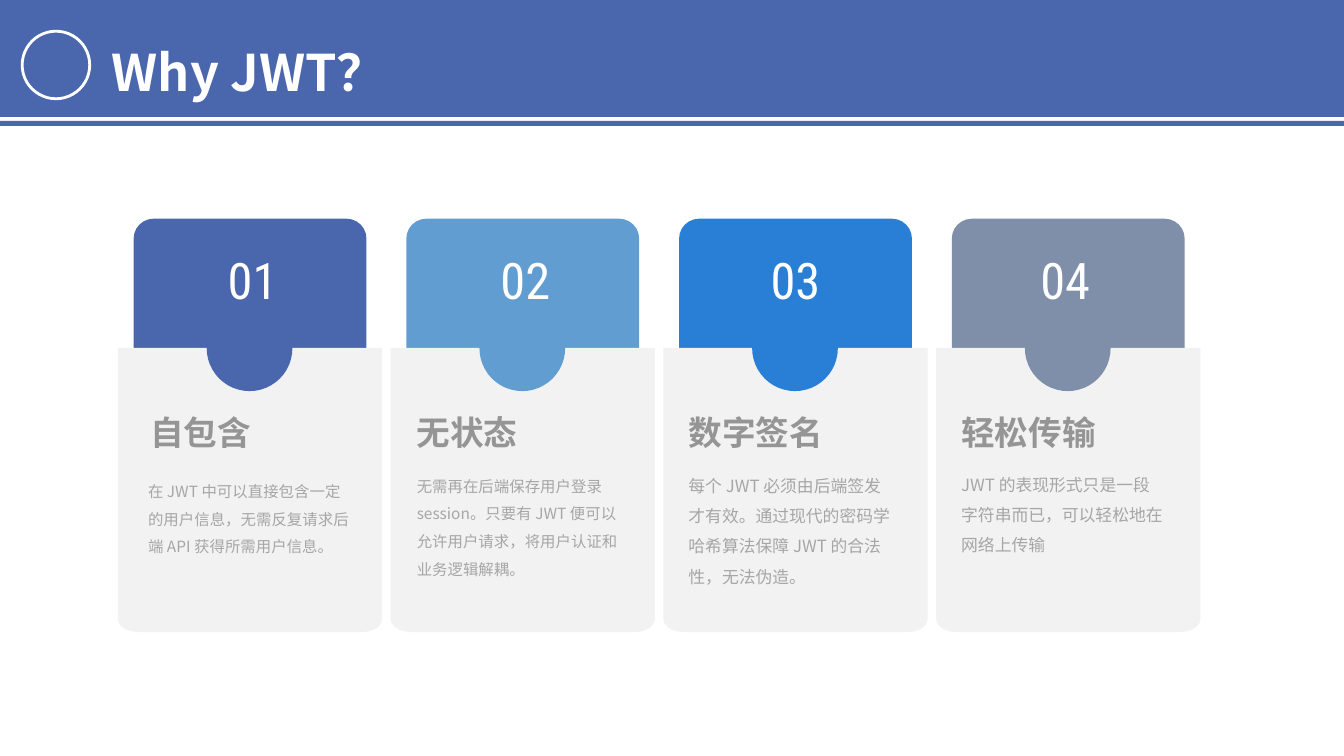
import math
from dataclasses import dataclass

from pptx import Presentation
from pptx import util as u
from pptx.dml.color import RGBColor
from pptx.enum import shapes, text
from pptx.oxml.ns import qn


@dataclass(frozen=True)
class Theme:
    banner: str = "4A66AC"
    panel: str = "F2F2F2"
    white: str = "FFFFFF"
    heading: str = "959595"
    body: str = "A6A6A6"
    cjk: str = "Noto Sans CJK SC"
    digits: str = "Roboto Condensed"
    title_size: int = 36
    heading_size: int = 24
    line_spacing: float = 1.5


@dataclass(frozen=True)
class Box:
    left: float
    top: float
    width: float
    height: float

    def inner(self, left, top, width, height):
        """A box whose left and top are measured from this one's corner."""
        return Box(self.left + left, self.top + top, width, height)

    def lengths(self):
        return [u.Inches(n) for n in (self.left, self.top, self.width, self.height)]


@dataclass(frozen=True)
class Card:
    number: str
    color: str
    heading: str
    body: str
    body_size: int
    number_left: float
    number_width: float
    heading_left: float
    body_left: float
    body_top: float


THEME = Theme()
KIND = shapes.MSO_SHAPE
SLIDE = Box(0, 0, 13.33, 7.5)
CARD_ROW = Box(1.17, 2.17, 2.62, 4.1)
CARD_STEP = 2.705

CARDS = [
    Card("01", "4A66AC", "自包含",
         "在 JWT 中可以直接包含一定的用户信息，无需反复请求后端 API 获得所需用户信息。",
         11, 0.74, 1.19, 0.22, 0.2, 2.47),
    Card("02", "629DD1", "无状态",
         "无需再在后端保存用户登录 session。只要有 JWT 便可以允许用户请求，将用户认证和业务逻辑解耦。",
         11, 0.7, 1.27, 0.16, 0.16, 2.42),
    Card("03", "297FD5", "数字签名",
         "每个 JWT 必须由后端签发才有效。通过现代的密码学哈希算法保障 JWT 的合法性，无法伪造。",
         12, 0.62, 1.38, 0.15, 0.15, 2.4),
    Card("04", "7F8FA9", "轻松传输",
         "JWT 的表现形式只是一段字符串而已，可以轻松地在网络上传输",
         12, 0.66, 1.24, 0.15, 0.15, 2.39),
]


def paint(shape, fill, outline=None):
    shape.shadow.inherit = False
    shape.fill.solid()
    shape.fill.fore_color.rgb = RGBColor.from_string(fill)
    if outline:
        shape.line.color.rgb = RGBColor.from_string(outline)
        shape.line.width = u.Pt(2)
    else:
        shape.line.fill.background()
    return shape


def add_filled(page, kind, box, fill, outline=None):
    return paint(page.shapes.add_shape(kind, *box.lengths()), fill, outline)


def add_words(page, box, words, size, color, font=THEME.cjk, bold=False,
              frame_format=None, para_format=None):
    frame = page.shapes.add_textbox(*box.lengths()).text_frame
    for name, value in {"word_wrap": True, **(frame_format or {})}.items():
        setattr(frame, name, value)
    para = frame.paragraphs[0]
    for name, value in (para_format or {}).items():
        setattr(para, name, value)
    span = para.add_run()
    span.text = words
    for name, value in {"size": u.Pt(size), "bold": bold, "name": font}.items():
        setattr(span.font, name, value)
    span.font.color.rgb = RGBColor.from_string(color)
    latin = span.font._element.find(qn("a:latin"))
    east_asian = latin.makeelement(qn("a:ea"), {"typeface": font})
    latin.addnext(east_asian)


def add_panel(page, box):
    """A panel with square top corners and elliptical bottom corners."""
    left, top, width, height = box.lengths()
    right, bottom = left + width, top + height
    radius_x, radius_y, steps = u.Inches(0.2), u.Inches(0.13), 12
    angles = [math.pi / 2 * step / steps for step in range(steps + 1)]
    right_corner = [(round(right - radius_x * (1 - math.cos(a))),
                     round(bottom - radius_y * (1 - math.sin(a)))) for a in angles]
    left_corner = [(left + right - x, y) for x, y in reversed(right_corner)]
    builder = page.shapes.build_freeform(left, top)
    builder.add_line_segments([(right, top), *right_corner, *left_corner])
    paint(builder.convert_to_shape(), THEME.panel)


def add_banner(page, box):
    add_filled(page, KIND.RECTANGLE, box, THEME.banner)
    add_filled(page, KIND.RECTANGLE, box.inner(0, 1.2, box.width, 0.05), THEME.banner)
    add_filled(page, KIND.OVAL, box.inner(0.22, 0.31, 0.67, 0.67),
               THEME.banner, THEME.white)
    add_words(page, box.inner(1.01, 0.06, 6.24, 0.92), "Why JWT？",
              THEME.title_size, THEME.white, bold=True,
              para_format={"line_spacing": THEME.line_spacing})


def add_card(page, box, card):
    tab = add_filled(page, KIND.ROUNDED_RECTANGLE,
                     box.inner(0.155, 0, 2.31, 2.13), card.color)
    tab.adjustments[0] = 0.093
    add_panel(page, box.inner(0, 1.28, box.width, box.height - 1.28))
    add_filled(page, KIND.OVAL, box.inner(0.88, 0.86, 0.85, 0.85), card.color)
    side, edge = u.Inches(0.07), u.Inches(0.04)
    add_words(page, box.inner(card.number_left, 0.26, card.number_width, 0.88),
              card.number, THEME.title_size, THEME.white, THEME.digits,
              frame_format={"margin_left": side, "margin_right": side,
                            "margin_top": edge, "margin_bottom": edge},
              para_format={"alignment": text.PP_ALIGN.CENTER})
    add_words(page, box.inner(card.heading_left, 1.83, 2.33, 0.58),
              card.heading, THEME.heading_size, THEME.heading, bold=True,
              frame_format={"vertical_anchor": text.MSO_ANCHOR.MIDDLE})
    add_words(page, box.inner(card.body_left, card.body_top, 2.21, 0.87),
              card.body, card.body_size, THEME.body,
              para_format={"line_spacing": THEME.line_spacing})


def main():
    deck = Presentation()
    deck.slide_width, deck.slide_height = SLIDE.lengths()[2:]
    page = deck.slides.add_slide(deck.slide_layouts[6])
    add_banner(page, SLIDE.inner(0, 0, SLIDE.width, 1.16))
    for column, card in enumerate(CARDS):
        box = CARD_ROW.inner(column * CARD_STEP, 0, CARD_ROW.width, CARD_ROW.height)
        add_card(page, box, card)
    deck.save("out.pptx")


if __name__ == "__main__":
    main()
